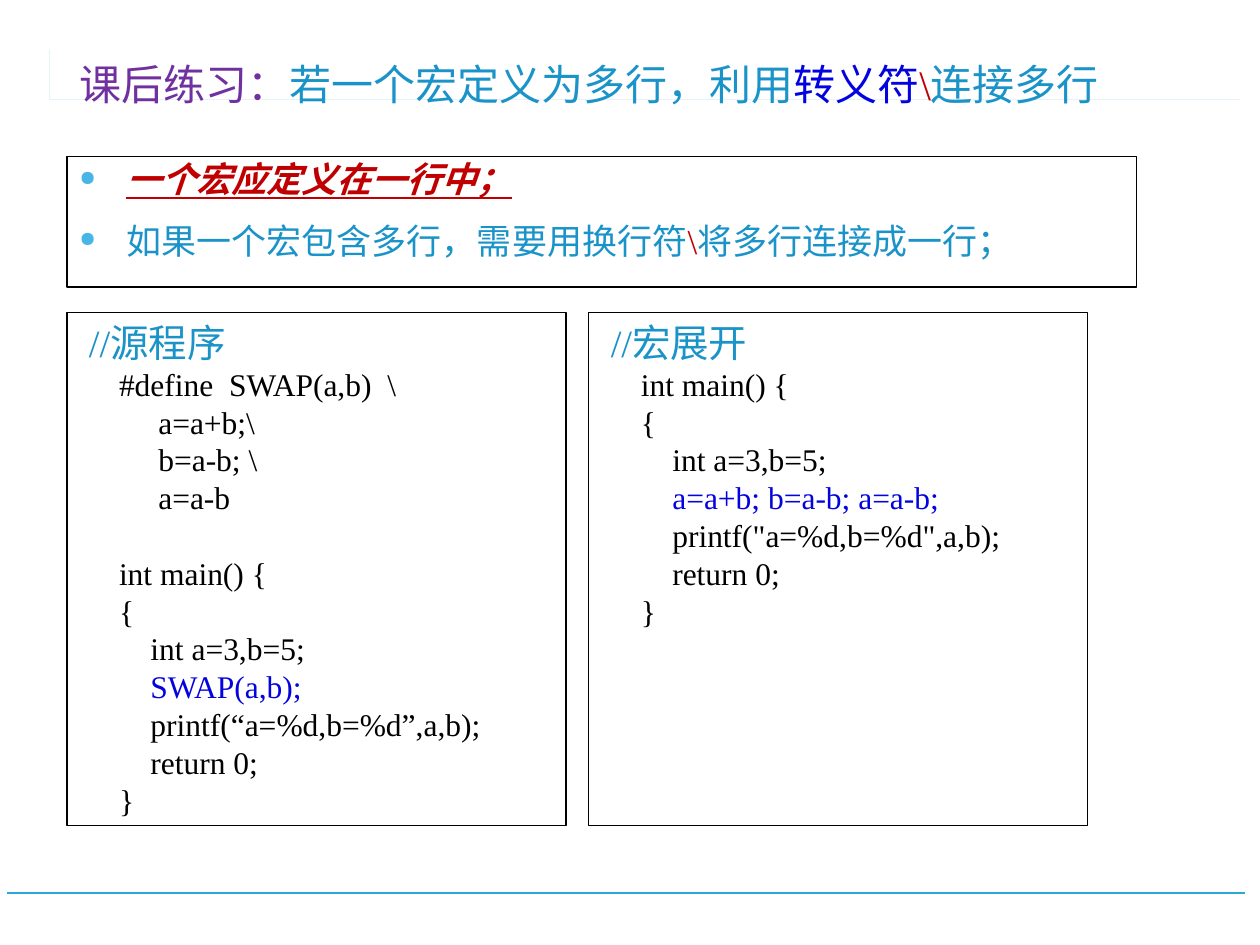
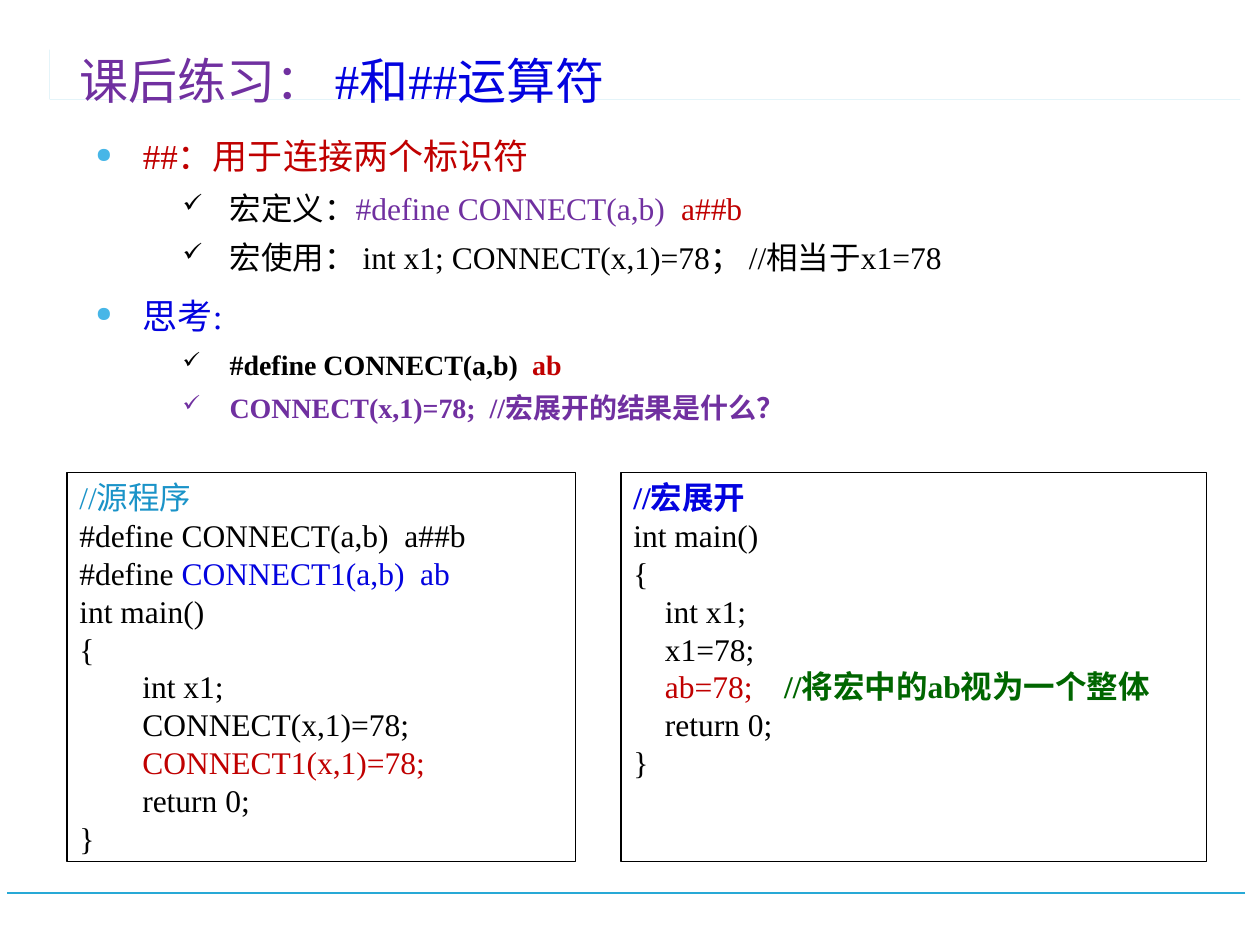
from dataclasses import dataclass

from lxml.etree import SubElement
from pptx import Presentation
from pptx.dml.color import RGBColor
from pptx.enum.lang import MSO_LANGUAGE_ID
from pptx.enum.shapes import MSO_CONNECTOR, MSO_SHAPE
from pptx.enum.text import MSO_ANCHOR, PP_ALIGN
from pptx.oxml.ns import qn
from pptx.util import Cm, Pt


@dataclass(frozen=True)
class Theme:
    font: str = "Times New Roman"
    band: str = "28A9D6"
    sky: str = "1A93C8"
    bullet: str = "47B6E7"
    purple: str = "7030A0"
    blue: str = "0303DF"
    red: str = "C00000"
    green: str = "006600"
    black: str = "000000"
    long_title: int = 24
    title: int = 28
    code_heading: int = 22
    point: int = 20
    code: int = 18
    question: int = 16


@dataclass(frozen=True)
class ParagraphStyle:
    size: int
    margin: float = 0
    indent: float = 0
    line_spacing: float = 1.0
    space_before: float = 0
    bullet: str = ""
    bullet_percent: int = 100
    bullet_color: str = ""
    tab: float = 0


@dataclass(frozen=True)
class Piece:
    """A stretch of text in one format."""
    text: str
    color: str
    bold: bool = False
    italic: bool = False
    underline: bool = False


THEME = Theme()
LEFT_EDGE = 1.35
POINT = ParagraphStyle(THEME.point, 0.95, -0.95, 0.9, 13.5, "●", 60, THEME.bullet)
CHECK = ParagraphStyle(THEME.code, 2.7, -0.95, 1.3, 0, "✓", 80)
QUESTION = ParagraphStyle(THEME.question, 2.7, -0.95, 1.3, 0, "✓", 80)
CODE_HEADING = ParagraphStyle(THEME.code_heading)
INDENTED_CODE = ParagraphStyle(THEME.code, 1.75, -0.95)
CODE_AFTER_GAP = ParagraphStyle(THEME.code, 1.75, -0.95, space_before=21.6)
CODE = ParagraphStyle(THEME.code, tab=1.9)


class Deck:
    def __init__(self, theme):
        self.theme = theme
        self.presentation = Presentation()
        self.presentation.slide_width = Cm(25.4)
        self.presentation.slide_height = Cm(19.05)
        self.slide = None

    def add_slide(self, title_pieces, title_size):
        layout = self.presentation.slide_layouts[6]
        self.slide = self.presentation.slides.add_slide(layout)
        self.add_footer_line()
        self.add_title_band()
        title_style = ParagraphStyle(title_size, line_spacing=0.9)
        frame = self.add_text(LEFT_EDGE, 0.71, 22.48, 1.63, [(title_style, title_pieces)])
        frame.vertical_anchor = MSO_ANCHOR.BOTTOM

    def add_footer_line(self):
        line = self.slide.shapes.add_connector(
            MSO_CONNECTOR.STRAIGHT, Cm(25.1), Cm(18), Cm(0.15), Cm(18))
        line.line.color.rgb = RGBColor.from_string(self.theme.band)
        line.line.width = Pt(1.25)
        SubElement(line._element.spPr, qn("a:effectLst"))

    def add_title_band(self):
        """Draw the double bar that runs out into a tapering rule."""
        top, bottom = 1.17, 2.38
        outline = [(1.04, 2.34), (3.56, 2.34), (25.4, bottom), (0.99, bottom),
                   (0.99, 1.22), (0.91, 1.22), (0.91, bottom), (0.69, bottom),
                   (0.69, top), (0.76, top), (0.76, 2.31), (0.84, 2.31), (0.84, top)]
        builder = self.slide.shapes.build_freeform(1.04, top, scale=Cm(1))
        builder.add_line_segments(outline, close=True)
        band = builder.convert_to_shape()
        band.shadow.inherit = False
        band.fill.solid()
        band.fill.fore_color.rgb = RGBColor.from_string(self.theme.band)
        band.line.fill.background()

    def add_text(self, left, top, width, height, paragraphs):
        box = self.slide.shapes.add_textbox(Cm(left), Cm(top), Cm(width), Cm(height))
        self.fill_frame(box.text_frame, paragraphs)
        return box.text_frame

    def add_framed_text(self, left, top, width, height, paragraphs):
        shape = self.slide.shapes.add_shape(
            MSO_SHAPE.RECTANGLE, Cm(left), Cm(top), Cm(width), Cm(height))
        shape.shadow.inherit = False
        shape.fill.background()
        shape.line.color.rgb = RGBColor.from_string(self.theme.black)
        shape.line.width = Pt(0.75)
        self.fill_frame(shape.text_frame, paragraphs)

    def add_code(self, left, top, width, height, heading, style, lines):
        """Frame a listing; a line is plain text, a list of pieces or a styled pair."""
        paragraphs = [heading]
        for line in lines:
            line_style, content = line if isinstance(line, tuple) else (style, line)
            if isinstance(content, str):
                content = [Piece(content, self.theme.black)]
            paragraphs.append((line_style, content))
        self.add_framed_text(left, top, width, height, paragraphs)

    def fill_frame(self, frame, paragraphs):
        frame.word_wrap = True
        frame.vertical_anchor = MSO_ANCHOR.TOP
        for index, (style, pieces) in enumerate(paragraphs):
            paragraph = frame.add_paragraph() if index else frame.paragraphs[0]
            self.style_paragraph(paragraph, style)
            paragraph.space_before = Pt(style.space_before if index else 0)
            for piece in pieces:
                self.add_piece(paragraph, piece, style.size)

    def style_paragraph(self, paragraph, style):
        properties = paragraph._p.get_or_add_pPr()
        properties.set("marL", str(Cm(style.margin)))
        properties.set("indent", str(Cm(style.indent)))
        if style.bullet:
            if style.bullet_color:
                color = SubElement(properties, qn("a:buClr"))
                SubElement(color, qn("a:srgbClr"), val=style.bullet_color)
            SubElement(properties, qn("a:buSzPct"), val=str(style.bullet_percent * 1000))
            SubElement(properties, qn("a:buChar"), char=style.bullet)
        if style.tab:
            tabs = SubElement(properties, qn("a:tabLst"))
            SubElement(tabs, qn("a:tab"), pos=str(Cm(style.tab)), algn="l")
        paragraph.alignment = PP_ALIGN.LEFT
        paragraph.line_spacing = style.line_spacing

    def add_piece(self, paragraph, piece, size):
        run = paragraph.add_run()
        run.text = piece.text
        font = run.font
        font.name = self.theme.font
        font.size = Pt(size)
        font.color.rgb = RGBColor.from_string(piece.color)
        font.bold, font.italic, font.underline = piece.bold, piece.italic, piece.underline
        font.language_id = MSO_LANGUAGE_ID.SIMPLIFIED_CHINESE


def build_multiline_macro_slide(deck):
    theme = deck.theme
    deck.add_slide([
        Piece("课后练习：", theme.purple),
        Piece("若一个宏定义为多行，利用", theme.sky),
        Piece("转义符", theme.blue),
        Piece("\\", theme.red),
        Piece("连接多行", theme.sky),
    ], theme.long_title)
    deck.add_framed_text(LEFT_EDGE, 3.15, 21.56, 2.64, [
        (POINT, [Piece("一个宏应定义在一行中；", theme.red, True, True, True)]),
        (POINT, [Piece("如果一个宏包含多行，需要用换行符", theme.sky),
                 Piece("\\", theme.red),
                 Piece("将多行连接成一行；", theme.sky)]),
    ])
    source = [
        "#define  SWAP(a,b)  \\",
        "     a=a+b;\\",
        "     b=a-b; \\",
        "     a=a-b",
        (CODE_AFTER_GAP, "int main() {"),
        "{",
        "    int a=3,b=5;",
        [Piece("    SWAP(a,b);", theme.blue)],
        "    printf(“a=%d,b=%d”,a,b);",
        "    return 0;",
        "}",
    ]
    expansion = [
        "int main() {",
        "{",
        "    int a=3,b=5;",
        [Piece("    a=a+b; b=a-b; a=a-b;", theme.blue)],
        '    printf("a=%d,b=%d",a,b);',
        "    return 0;",
        "}",
    ]
    width, gap = 10.06, 0.46
    listings = [(" //源程序", source), (" //宏展开", expansion)]
    for column, (heading, lines) in enumerate(listings):
        deck.add_code(LEFT_EDGE + column * (width + gap), 6.3, width, 10.34,
                      (CODE_HEADING, [Piece(heading, theme.sky)]), INDENTED_CODE, lines)


def build_operator_slide(deck):
    theme = deck.theme
    deck.add_slide([Piece("课后练习： ", theme.purple),
                    Piece("#和##运算符", theme.blue)], theme.title)
    deck.add_text(1.68, 2.69, 23.57, 6.45, [
        (POINT, [Piece("##：用于连接两个标识符", theme.red)]),
        (CHECK, [Piece("宏定义：", theme.black),
                 Piece("#define CONNECT(a,b)  ", theme.purple),
                 Piece("a##b", theme.red)]),
        (CHECK, [Piece("宏使用： int x1; CONNECT(x,1)=78； //相当于x1=78", theme.black)]),
        (POINT, [Piece("思考:", theme.blue)]),
        (QUESTION, [Piece("#define CONNECT(a,b)  ", theme.black, True),
                    Piece("ab", theme.red, True)]),
        (QUESTION, [Piece("CONNECT(x,1)=78;  //宏展开的结果是什么？", theme.purple, True)]),
    ])
    top, height = 9.52, 7.85
    deck.add_code(LEFT_EDGE, top, 10.26, height,
                  (CODE, [Piece("//源程序", theme.sky)]), CODE, [
        "#define CONNECT(a,b)  a##b",
        [Piece("#define ", theme.black), Piece("CONNECT1(a,b)  ab", theme.blue)],
        "int main()",
        "{",
        "\tint x1;",
        "\tCONNECT(x,1)=78;",
        [Piece("\tCONNECT1(x,1)=78;", theme.red)],
        "\treturn 0;",
        "}",
    ])
    deck.add_code(12.52, top, 11.81, height,
                  (CODE, [Piece("//宏展开", theme.blue, True)]), CODE, [
        "int main()",
        "{",
        "    int x1;",
        "    x1=78;",
        [Piece("    ab=78;    ", theme.red),
         Piece("//将宏中的ab视为一个整体", theme.green, True)],
        "    return 0;",
        "}",
    ])


def main():
    deck = Deck(THEME)
    build_multiline_macro_slide(deck)
    build_operator_slide(deck)
    deck.presentation.save("out.pptx")


if __name__ == "__main__":
    main()
